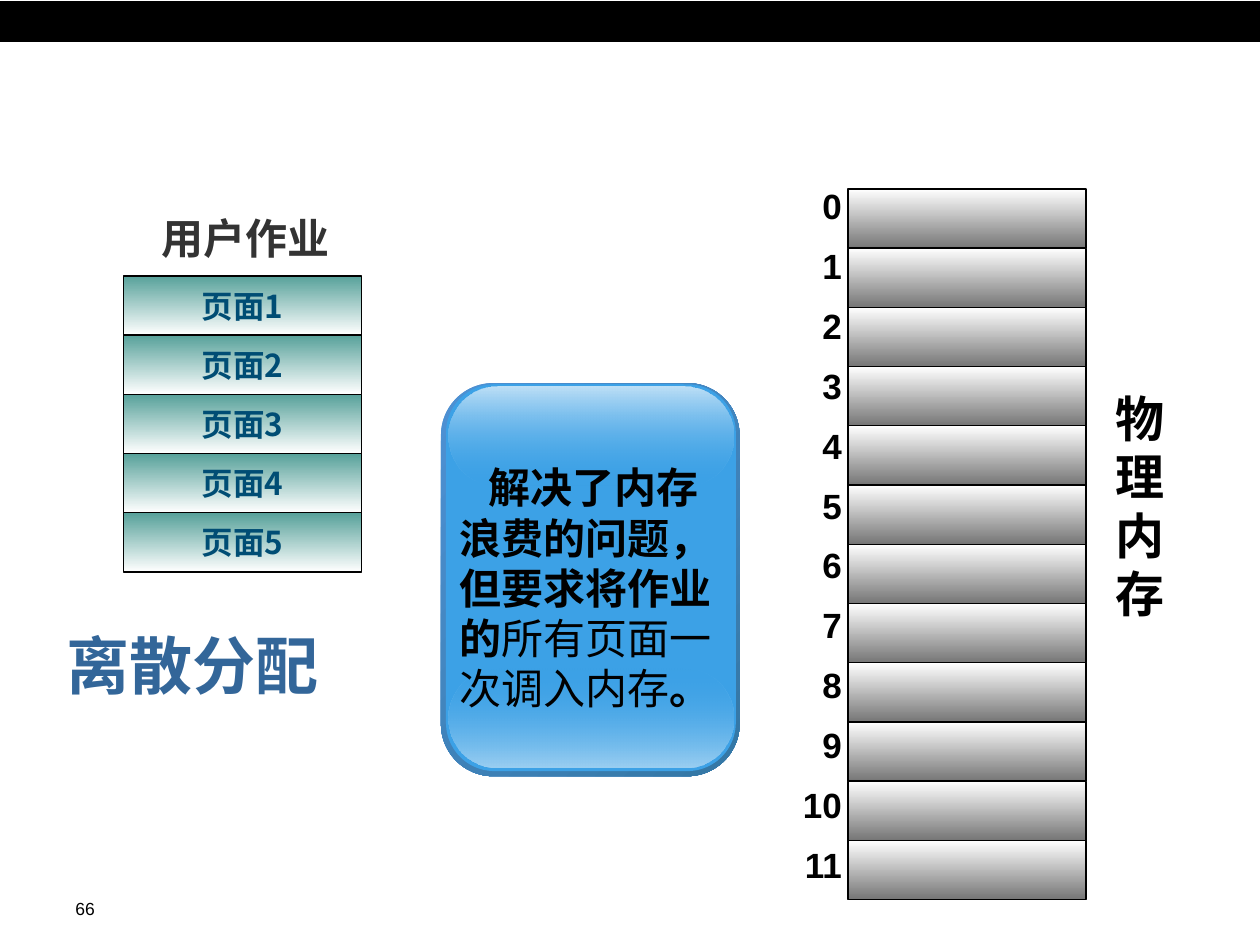
from lxml.etree import SubElement
from pptx import Presentation
from pptx.dml.color import RGBColor
from pptx.enum.shapes import MSO_SHAPE as Preset
from pptx.enum.text import MSO_ANCHOR as Anchor, PP_ALIGN as Align
from pptx.oxml.ns import qn
from pptx.util import Inches, Pt

CJK = "Noto Sans CJK SC"
BLACK = "000000"
ROW = 0.47
COLUMN = 1.89


def color(code):
    return RGBColor.from_string(code)


def add_block(parent, box, fill, line=None, preset=Preset.RECTANGLE,
              angle=90, corner=None, clear_stop=None):
    """Add a shape; fill is one hex colour or a (start, end) gradient."""
    block = parent.shapes.add_shape(preset, *map(Inches, box))
    block.shadow.inherit = False
    if corner is not None:
        block.adjustments[0] = corner
    if isinstance(fill, str):
        block.fill.solid()
        block.fill.fore_color.rgb = color(fill)
    else:
        block.fill.gradient()
        block.fill.gradient_angle = 360 - angle
        for stop, code in zip(block.fill.gradient_stops, fill):
            stop.color.rgb = color(code)
    if clear_stop is not None:
        stops = list(block.fill._xPr.iter(qn("a:srgbClr")))
        SubElement(stops[clear_stop], qn("a:alpha"), val="0")
    if line:
        block.line.color.rgb = color(line)
        block.line.width = Pt(0.75)
    else:
        block.line.fill.background()
    return block


def style(para, size, code=BLACK, bold=True, font="Arial", align=Align.LEFT):
    para.alignment = align
    para.font.size, para.font.bold, para.font.name = Pt(size), bold, font
    para.font.color.rgb = color(code)
    for span in para.runs:
        SubElement(span._r.get_or_add_rPr(), qn("a:ea"), typeface=CJK)


def add_text(parent, box, lines, size, leading=1.19, wrap=True, before=0, **look):
    """Add a text box; leading is the line pitch as a share of the font size."""
    frame = parent.shapes.add_textbox(*map(Inches, box)).text_frame
    frame.word_wrap = wrap
    frame.text = "\n".join(lines)
    for para in frame.paragraphs:
        style(para, size, **look)
        para.line_spacing = Pt(round(size * leading, 1))
        para.space_before = Pt(before)
    return frame


def draw_job(page, left, top):
    """User job: a heading over five pages."""
    add_text(page, (left - 0.04, top - 0.55, 2.01, 0.5), ["用户作业"], 24,
             code="333333", align=Align.CENTER)
    for index in range(5):
        cell = add_block(page, (left, top + index * ROW, COLUMN, ROW),
                         ("57A19A", "FFFFFF"), BLACK)
        frame = cell.text_frame
        frame.word_wrap = False
        frame.vertical_anchor = Anchor.MIDDLE
        frame.text = f"页面{index + 1}"
        style(frame.paragraphs[0], 18, "004D74", font=CJK, align=Align.CENTER)


def draw_memory(page, left, top):
    """Physical memory: twelve numbered frames and a stacked caption."""
    for index in range(12):
        add_block(page, (left, top + index * ROW, COLUMN, ROW),
                  ("FFFFFF", "767676"), BLACK)
    labels = add_text(page, (left - 0.5, top - 0.1, 0.55, 6.26),
                      map(str, range(12)), 20, before=9, align=Align.RIGHT)
    for para in labels.paragraphs:
        para.line_spacing = 1.05
    add_text(page, (left + 1.81, top + 1.54, 1.02, 1.97), "物理内存", 28,
             align=Align.CENTER)


def draw_note(page, left, top, width, height):
    """Glossy panel with the conclusion."""
    group = page.shapes.add_group_shape()
    rounded = Preset.ROUNDED_RECTANGLE
    inner, gloss = width - 0.11, 0.25 * height
    blue = "3CA1E6"
    add_block(group, (left, top, width, height), ("4E91D4", "3477A4"),
              preset=rounded, angle=45, corner=0.175)
    add_block(group, (left + 0.04, top + 0.01, width - 0.07, height - 0.05),
              blue, preset=rounded, corner=0.167)
    add_block(group, (left + 0.06, top + height - gloss - 0.07, inner, gloss),
              (blue, "9BCFF2"), preset=rounded, corner=0.5, clear_stop=0)
    add_block(group, (left + 0.06, top + 0.03, inner, gloss),
              ("BEE0F7", blue), preset=rounded, corner=0.5, clear_stop=1)
    frame = add_text(group, (left + 0.05, top + 0.58, 2.25, 2.1),
                     ["解决了内存浪费的问题，但要求将作业的"], 24, font="DejaVu Sans")
    para = frame.paragraphs[0]
    para._p.get_or_add_pPr().set("indent", str(Inches(0.23)))
    for words, bold in (("所有页面一次调入内存", False), ("。", True)):
        span = para.add_run()
        span.text, span.font.bold = words, bold
        SubElement(span._r.get_or_add_rPr(), qn("a:ea"), typeface=CJK)


def main():
    deck = Presentation()
    deck.slide_width, deck.slide_height = Inches(10), Inches(7.5)
    page = deck.slides.add_slide(deck.slide_layouts[6])
    # Top band and page number
    add_block(page, (0, 0.01, 10, 0.32), BLACK, BLACK)
    add_text(page, (0.5, 7.08, 0.67, 0.25), ["66"], 10, bold=False)
    # Job, memory and conclusion
    draw_job(page, 0.98, 2.19)
    draw_memory(page, 6.73, 1.5)
    add_text(page, (0.43, 4.93, 2.2, 0.7), ["离散分配"], 36, wrap=False,
             code="336699")
    draw_note(page, 3.5, 3.04, 2.37, 3.12)
    deck.save("out.pptx")


if __name__ == "__main__":
    main()
